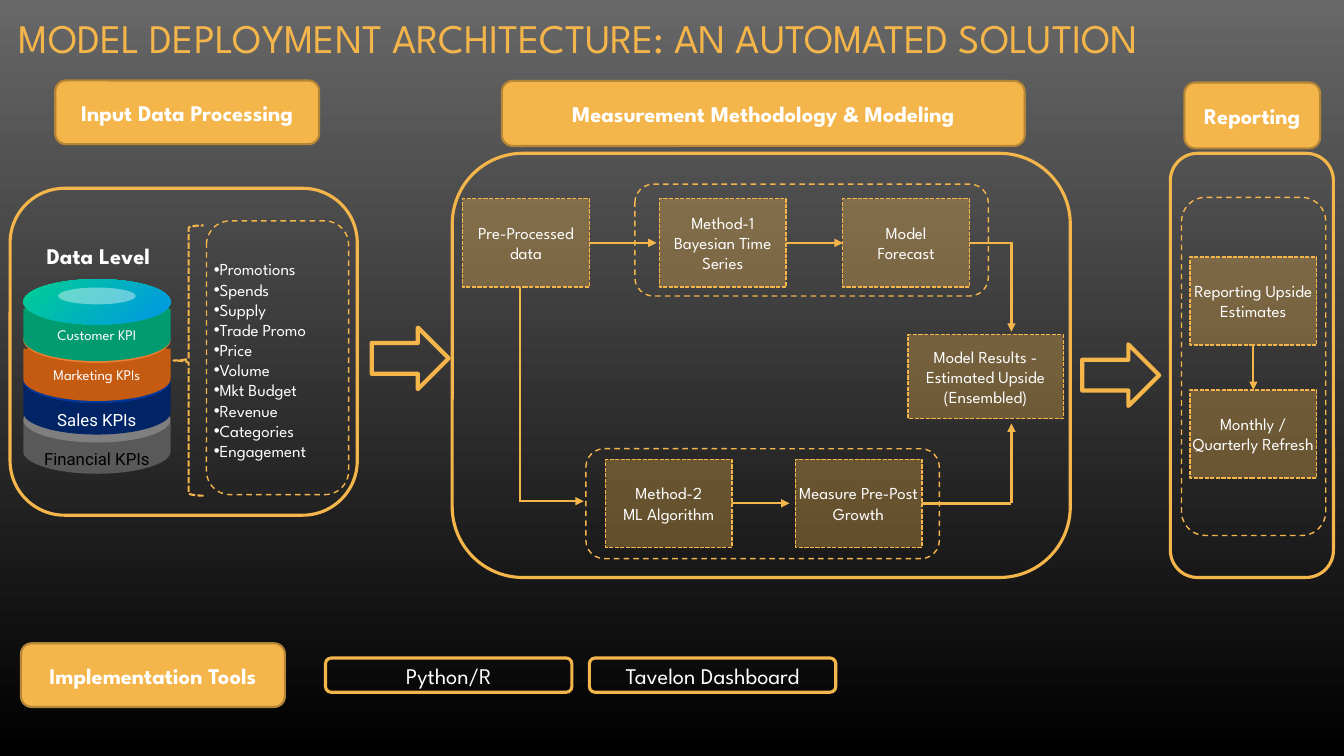
import pptx
import pptx.dml.color
import pptx.enum.dml
import pptx.enum.shapes
import pptx.enum.text
import pptx.oxml.ns
import pptx.util
from lxml import etree

Pt = pptx.util.Pt
KIND = pptx.enum.shapes.MSO_SHAPE
DASH = pptx.enum.dml.MSO_LINE
ALIGN = pptx.enum.text.PP_ALIGN
TOP = pptx.enum.text.MSO_ANCHOR.TOP
MID = pptx.enum.text.MSO_ANCHOR.MIDDLE
LOW = pptx.enum.text.MSO_ANCHOR.BOTTOM
qn = pptx.oxml.ns.qn
GOLD, WHITE = "F4B54B", "FFFFFF"
FACE = "League Spartan"


def paint(color, tint):
    color.rgb = pptx.dml.color.RGBColor.from_string(tint)


def blend(fill, first, last, angle, end=1.0):
    fill.gradient()
    fill.gradient_angle = angle
    for stop, tint, spot in zip(fill.gradient_stops, (first, last), (0, end)):
        paint(stop.color, tint)
        stop.position = spot


def place(shape, left, top, width, height):
    shape.left, shape.top = Pt(left), Pt(top)
    shape.width, shape.height = Pt(width), Pt(height)


def write(shape, text, size, tint=WHITE, bold=False, face=FACE,
          align=ALIGN.CENTER, anchor=MID, inset=0):
    frame = shape.text_frame
    frame.text = text
    frame.word_wrap = True
    frame.auto_size = pptx.enum.text.MSO_AUTO_SIZE.NONE
    frame.vertical_anchor = anchor
    frame.margin_left = frame.margin_right = Pt(inset)
    frame.margin_top = frame.margin_bottom = Pt(inset / 2)
    for para in frame.paragraphs:
        para.alignment = align
        para.space_before = Pt(0)
        para.font.name, para.font.size, para.font.bold = face, Pt(size), bold
        paint(para.font.color, tint)


def style(shape, fill=None, line=None, weight=1, dash=None, alpha=None):
    shape.shadow.inherit = False
    if fill:
        shape.fill.solid()
        paint(shape.fill.fore_color, fill)
    else:
        shape.fill.background()
    if alpha:
        color = shape.element.find(".//" + qn("a:srgbClr"))
        etree.SubElement(color, qn("a:alpha"), val=str(alpha * 1000))
    if line:
        paint(shape.line.color, line)
        shape.line.width = Pt(weight)
        shape.line.dash_style = dash
    else:
        shape.line.fill.background()


def draw(slide, kind, area, **looks):
    shape = slide.shapes.add_shape(kind, *map(Pt, area))
    style(shape, **looks)
    return shape


def banner(slide, text, *area):
    shape = draw(slide, KIND.ROUNDED_RECTANGLE, area, fill=GOLD, line="B58637", weight=1.5)
    write(shape, text, 16, bold=True)


def outline(slide, *area, weight=2.25, dash=None):
    return draw(slide, KIND.ROUNDED_RECTANGLE, area, line=GOLD, weight=weight, dash=dash)


def step(slide, text, left, top, width=90.5, height=63):
    area = left, top, width, height
    shape = draw(slide, KIND.RECTANGLE, area, fill=GOLD, alpha=33,
                 line=GOLD, dash=DASH.SQUARE_DOT)
    write(shape, text, 12)
    return shape


def wire(slide, start, end, weight=1.5, arrow=True, source=None, target=None):
    line = slide.shapes.add_connector(
        pptx.enum.shapes.MSO_CONNECTOR.STRAIGHT, *map(Pt, start + end))
    if source:
        line.begin_connect(*source)
    if target:
        line.end_connect(*target)
    paint(line.line.color, GOLD)
    line.line.width = Pt(weight)
    if arrow:
        etree.SubElement(line.element.find(".//" + qn("a:ln")), qn("a:tailEnd"), type="triangle")
    etree.SubElement(line.element.spPr, qn("a:effectLst"))


def bend(segment, *points):
    segment.tag = qn("a:cubicBezTo")
    for order, (x, y) in enumerate(points):
        segment.insert(order, segment.makeelement(qn("a:pt"), x=str(Pt(x)), y=str(Pt(y))))


def band(slide, text, top, fill, tint, size, face, anchor):
    left, width, side, drop = 16.6, 105.2, 21.6, 15.8
    right, half = left + width, width / 2
    build = slide.shapes.build_freeform(Pt(left), Pt(top))
    build.add_line_segments([(Pt(x), Pt(y)) for x, y in [
        (right, top), (right, top + side), (left + half, top + side + drop), (left, top + side)]])
    shape = build.convert_to_shape()
    edges = shape.element.findall(".//" + qn("a:lnTo"))
    pull, base = 0.55, side + drop
    bend(edges[2], (width, side + drop * pull), (half * (1 + pull), base))
    bend(edges[3], (half * (1 - pull), base), (0, side + drop * pull))
    style(shape, fill=fill)
    write(shape, text, size, tint, face=face, anchor=anchor, inset=7.2)


def drum(slide):
    layers = [
        ("Financial KPIs", 301, "595959", "000000", 12, "Roboto", LOW, 283.7, "7F7F7F"),
        ("Sales KPIs", 273, "002465", WHITE, 12, "Roboto", LOW, 255.6, "00379A"),
        ("Marketing KPIs", 249, "C55A11", WHITE, 10.5, FACE, MID, 226.8, "ED7D31"),
        ("Customer KPI", 220.5, "009B6E", WHITE, 10.5, FACE, MID, 199.4, "00CF92"),
    ]
    for *parts, top, cap in layers:
        band(slide, *parts)
        lid = draw(slide, KIND.OVAL, (16.6, top, 105.2, 32.4), fill=cap)
        draw(slide, KIND.OVAL, (41.5, top + 6, 55.5, 12), fill=WHITE, alpha=40)
    blend(lid.fill, "00CF92", "009CDE", 315, 0.9)


def flow(slide):
    high, low = 173.5, 359.5
    outline(slide, 453.5, 131.5, 252.5, 80, weight=1, dash=DASH.DASH)
    outline(slide, 418.5, 320.5, 252.5, 78.5, weight=1, dash=DASH.DASH)
    data = step(slide, "Pre-Processed\ndata", 330.5, 142)
    series = step(slide, "Method-1\nBayesian Time Series", 471, 142)
    model = step(slide, "Model\nForecast", 602, 142)
    step(slide, "Model Results - Estimated Upside\n(Ensembled)", 648.5, 239, 111, 60)
    learn = step(slide, "Method-2\nML Algorithm", 432.5, 328)
    growth = step(slide, "Measure Pre-Post Growth", 568, 328)
    wire(slide, (421, high), (469, high), source=(data, 3))
    wire(slide, (561.5, high), (602, high), source=(series, 3), target=(model, 1))
    wire(slide, (692.5, high), (723.5, high), 1.75, False, source=(model, 3))
    wire(slide, (722.5, high), (722.5, 237))
    wire(slide, (371.5, 205), (371.5, 358.5), 1.75, False)
    wire(slide, (371.5, 358), (417, 358))
    wire(slide, (523, low), (564, low), source=(learn, 3))
    wire(slide, (658.5, low), (722.5, low), 1.75, False, source=(growth, 3))
    wire(slide, (722.5, low), (722.5, 302.5))


def report(slide):
    outline(slide, 844, 141, 103, 241.5, weight=1, dash=DASH.DASH)
    upside = step(slide, "Reporting Upside Estimates", 850, 183.5)
    fresh = step(slide, "Monthly /\nQuarterly Refresh", 850, 278.5)
    wire(slide, (895.25, 246.5), (895.25, 278.5), source=(upside, 2), target=(fresh, 0))


def listing(body):
    topics = ["Promotions", "Spends", "Supply", "Trade Promo", "Price",
              "Volume", "Mkt Budget", "Revenue", "Categories", "Engagement"]
    place(body, 145.5, 181.5, 115, 152.5)
    write(body, "\n".join(topics), 12, align=ALIGN.LEFT, anchor=TOP, inset=7.2)
    for props in body.element.iter(qn("a:pPr")):
        props.set("marL", "0")
        props.set("indent", "0")


def main():
    deck = pptx.Presentation()
    deck.slide_width, deck.slide_height = Pt(960), Pt(540)
    slide = deck.slides.add_slide(deck.slide_layouts[1])
    blend(slide.background.fill, "676767", "000000", 270)
    title, body = slide.placeholders
    place(title, 6, 0, 951, 53)
    write(title, "MODEL DEPLOYMENT ARCHITECTURE: AN AUTOMATED SOLUTION", 29, GOLD,
          align=ALIGN.LEFT, inset=7.2)
    for area in [(7.2, 134.5, 248, 233.5), (323, 109.5, 441.5, 303), (836, 109.5, 116.5, 303)]:
        outline(slide, *area)
    banner(slide, "Input Data Processing", 39.5, 57.5, 188.5, 45.5)
    banner(slide, "Measurement Methodology & Modeling", 358.5, 57.8, 373.5, 46.5)
    banner(slide, "Reporting", 846, 59, 97, 47)
    banner(slide, "Implementation Tools", 15, 459.5, 188.5, 45.5)
    for text, left in [("Python/R", 232.5), ("Tavelon Dashboard", 421)]:
        write(outline(slide, left, 470, 176, 24.5), text, 16)
    label = slide.shapes.add_textbox(Pt(28.8), Pt(173), Pt(83), Pt(19.5))
    write(label, "Data Level", 16, bold=True)
    drum(slide)
    outline(slide, 147.5, 157.8, 101.5, 195.5, weight=1, dash=DASH.DASH)
    draw(slide, KIND.LEFT_BRACE, (124, 161, 21.5, 193), line=GOLD,
         weight=1.5, dash=DASH.SQUARE_DOT)
    listing(body)
    for left, top in [(265.5, 234), (773, 246)]:
        draw(slide, KIND.RIGHT_ARROW, (left, top, 55, 44), line=GOLD, weight=3)
    flow(slide)
    report(slide)
    deck.save("out.pptx")


if __name__ == "__main__":
    main()
